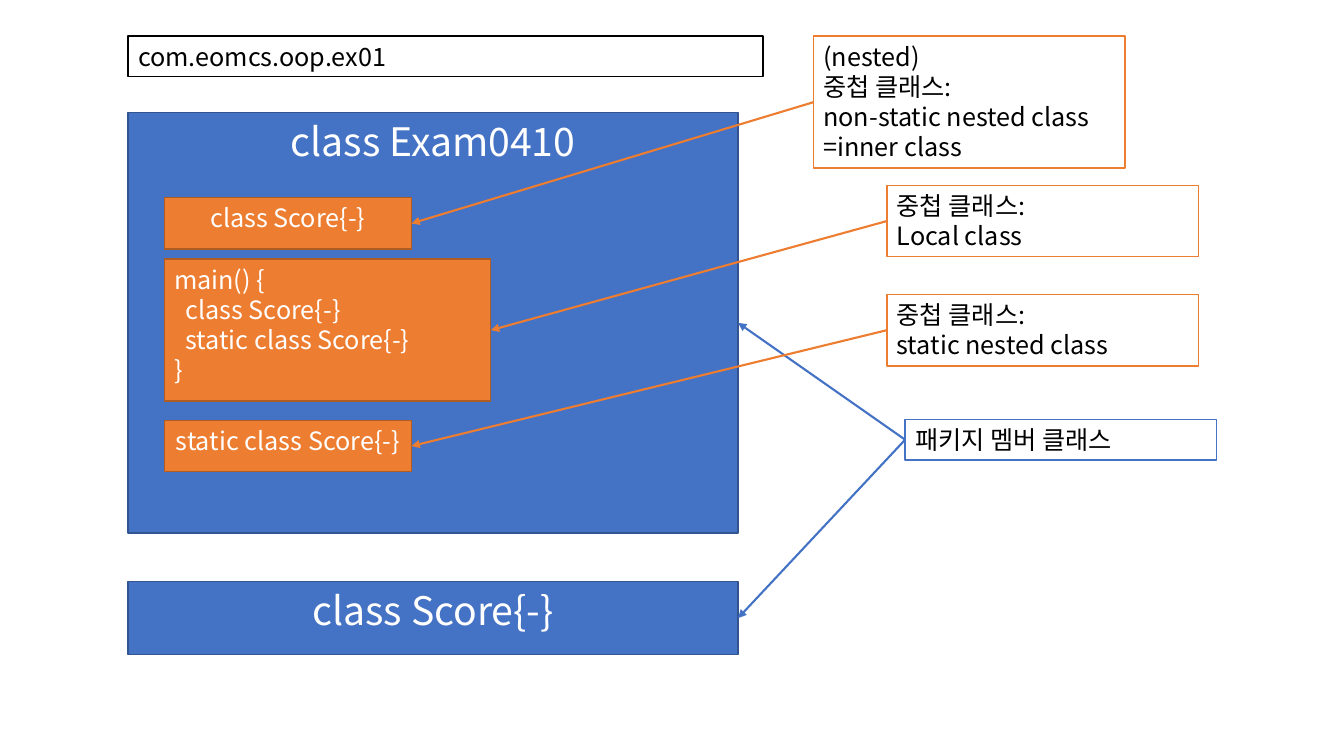
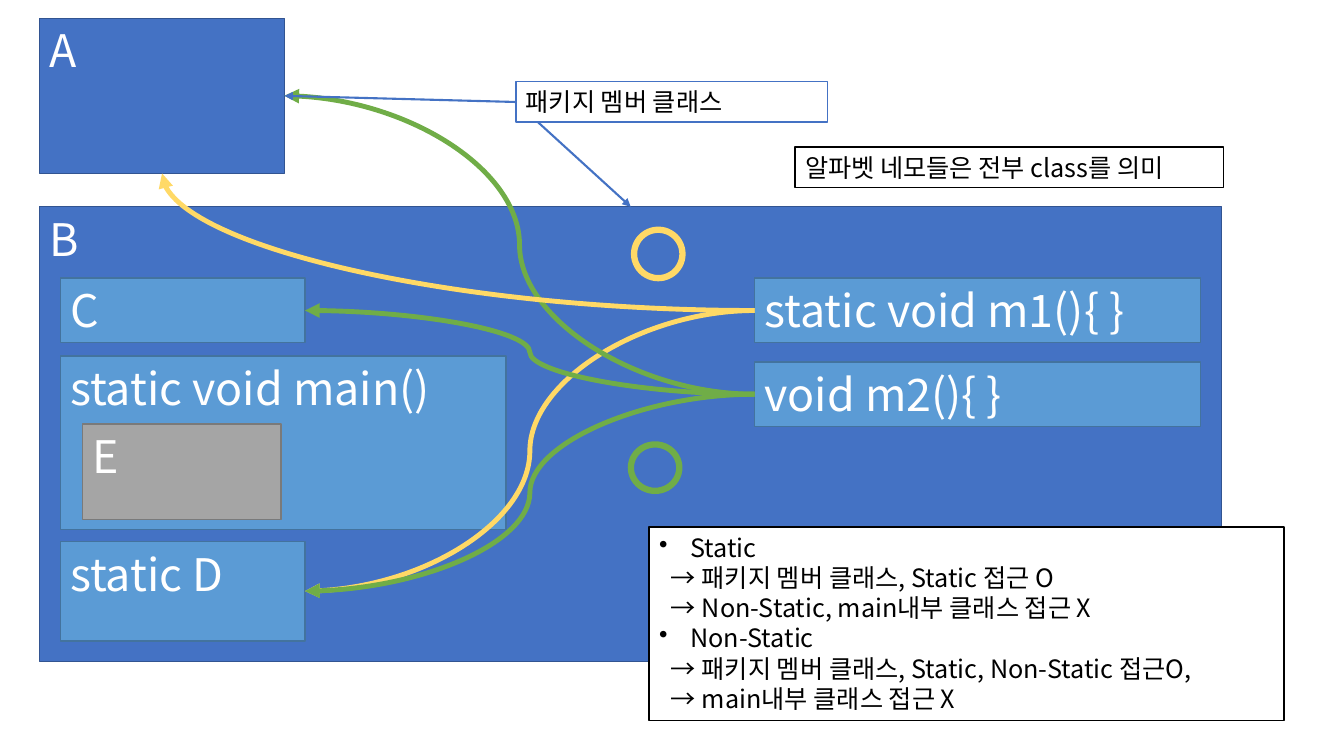
from lxml import etree
from pptx import Presentation
from pptx.dml.color import RGBColor
from pptx.enum.shapes import MSO_CONNECTOR, MSO_SHAPE
from pptx.enum.text import MSO_ANCHOR, PP_ALIGN
from pptx.oxml.ns import qn
from pptx.util import Cm, Pt

RECT, OVAL = MSO_SHAPE.RECTANGLE, MSO_SHAPE.OVAL
LINE, CURVE = MSO_CONNECTOR.STRAIGHT, MSO_CONNECTOR.CURVE
LEFT, MID = PP_ALIGN.LEFT, PP_ALIGN.CENTER
TOP, WEST, BASE, EAST = range(4)  # connection sites of a rectangle

FACE = "Noto Sans CJK KR"
HEX = {
    "white": "FFFFFF", "black": "000000", "blue": "4472C4", "navy": "325491",
    "orange": "ED7D31", "rust": "AF5C24", "sky": "5B9BD5", "steel": "43739E",
    "gray": "A5A5A5", "slate": "7A7A7A", "gold": "FFD966", "green": "70AD47",
}
EDGE = {"blue": "navy", "orange": "rust", "sky": "steel", "gray": "slate"}
FRAME = {"word_wrap": True, "vertical_anchor": MSO_ANCHOR.TOP}

MEMBER = "패키지 멤버 클래스"
RULES = """• Static
→ 패키지 멤버 클래스, Static 접근 O
→ Non-Static, main내부 클래스 접근 X
• Non-Static
→ 패키지 멤버 클래스, Static, Non-Static 접근O,
→ main내부 클래스 접근 X"""


def tint(name):
    return RGBColor.from_string(HEX[name])


def dent(para, left, hang=0):
    props = para._p.get_or_add_pPr()
    props.set("marL", str(Cm(left)))
    props.set("indent", str(Cm(-hang)))
    return props


def write(shape, text, size, color, align=LEFT):
    """Fill a shape with lines; a leading bullet or arrow sets the indent."""
    frame = shape.text_frame
    for key, value in FRAME.items():
        setattr(frame, key, value)
    style = {"name": FACE, "size": Pt(size)}
    for num, line in enumerate(text.split("\n")):
        para = frame.add_paragraph() if num else frame.paragraphs[0]
        para.alignment = align
        if line.startswith("• "):
            line = line[2:]
            mark = etree.SubElement(dent(para, 0.79, 0.79), qn("a:buChar"))
            mark.set("char", "•")
        elif line.startswith("→"):
            dent(para, 0.3)
        run = para.add_run()
        run.text = line
        for key, value in style.items():
            setattr(run.font, key, value)
        run.font.color.rgb = tint(color)
        etree.SubElement(run.font._element, qn("a:ea")).set("typeface", FACE)


def draw(slide, kind, area, edge, width, fill=None):
    shape = slide.shapes.add_shape(kind, *map(Cm, area))
    shape.shadow.inherit = False
    if fill:
        shape.fill.solid()
        shape.fill.fore_color.rgb = tint(fill)
    else:
        shape.fill.background()
    shape.line.color.rgb = tint(edge)
    shape.line.width = Pt(width)
    return shape


def block(slide, text, area, fill, size=32, align=LEFT):
    shape = draw(slide, RECT, area, EDGE[fill], 1, fill)
    write(shape, text, size, "white", align)
    return shape


def label(slide, text, area, edge="black"):
    shape = draw(slide, RECT, area, edge, 1, "white")
    write(shape, text, 18, "black")
    return shape


def ring(slide, area, color):
    draw(slide, OVAL, area, color, 4.5)


def link(slide, start, end, site, color, kind=LINE, width=1.5):
    """Arrow from the left side of start to a site of end."""
    arrow = slide.shapes.add_connector(kind, 0, 0, 0, 0)
    arrow.begin_connect(start, WEST)
    arrow.end_connect(end, site)
    arrow.line.color.rgb = tint(color)
    arrow.line.width = Pt(width)
    head = etree.SubElement(arrow.line._get_or_add_ln(), qn("a:tailEnd"))
    head.set("type", "triangle")
    props = arrow._element.spPr
    etree.SubElement(props, qn("a:effectLst"))
    if kind == LINE:
        start._element.addprevious(arrow._element)
    elif site in (TOP, BASE):
        props.find(qn("a:prstGeom")).set("prst", "curvedConnector2")


def nested(slide):
    exam = block(slide, "class Exam0410", (3.23, 2.84, 15.37, 10.59), "blue", 28, MID)
    label(slide, "com.eomcs.oop.ex01", (3.23, 0.91, 16, 1.02))
    inner = block(slide, "class Score{-}", (4.14, 4.98, 6.23, 1.3), "orange", 18, MID)
    code = "main() {\n  class Score{-}\n  static class Score{-}\n}"
    main_box = block(slide, code, (4.14, 6.53, 8.23, 3.58), "orange", 18)
    fixed = block(slide, "static class Score{-}", (4.14, 10.59, 6.23, 1.3),
                  "orange", 18, MID)
    score = block(slide, "class Score{-}", (3.23, 14.66, 15.37, 1.83), "blue", 28, MID)

    notes = [
        (MEMBER, 22.81, 10.57, 1.02, "blue", (exam, score)),
        ("(nested)\n중첩 클래스:\nnon-static nested class\n=inner class",
         20.5, 0.91, 3.33, "orange", (inner,)),
        ("중첩 클래스:\nLocal class", 22.35, 4.67, 1.8, "orange", (main_box,)),
        ("중첩 클래스:\nstatic nested class", 22.35, 7.42, 1.8, "orange", (fixed,)),
    ]
    for text, left, top, high, color, ends in notes:
        note = label(slide, text, (left, top, 7.85, high), color)
        for end in ends:
            link(slide, note, end, EAST, color)


def access(slide):
    a = block(slide, "A", (1, 0.46, 6.17, 3.91), "blue")
    b = block(slide, "B", (1, 5.21, 29.79, 11.46), "blue")
    c = block(slide, "C", (1.52, 7.01, 6.17, 1.63), "sky")
    block(slide, "static void main()", (1.52, 8.97, 11.23, 4.37), "sky")
    block(slide, "E", (2.08, 10.69, 5, 2.41), "gray")
    d = block(slide, "static D", (1.52, 13.64, 6.17, 2.51), "sky")
    m1 = block(slide, "static void m1(){ }", (19.02, 7.01, 11.23, 1.63), "sky")
    m2 = block(slide, "void m2(){ }", (19.02, 9.12, 11.23, 1.63), "sky")

    for start, end, site, color in [
        (m1, d, EAST, "gold"), (m2, a, EAST, "green"), (m1, a, BASE, "gold"),
        (m2, c, EAST, "green"), (m2, d, EAST, "green"),
    ]:
        link(slide, start, end, site, color, CURVE, 3.5)
    ring(slide, (15.98, 5.79, 1.22, 1.22), "gold")
    ring(slide, (15.9, 11.2, 1.22, 1.17), "green")

    label(slide, "알파벳 네모들은 전부 class를 의미", (20.04, 3.71, 10.8, 1.02))
    label(slide, RULES, (16.36, 13.28, 16, 4.88))
    member = label(slide, MEMBER, (13, 2.06, 7.85, 1.02), "blue")
    link(slide, member, a, EAST, "blue")
    link(slide, member, b, TOP, "blue")


def main():
    deck = Presentation()
    deck.slide_width, deck.slide_height = Cm(33.87), Cm(19.05)
    for build in (nested, access):
        build(deck.slides.add_slide(deck.slide_layouts[6]))
    deck.save("out.pptx")


if __name__ == "__main__":
    main()
